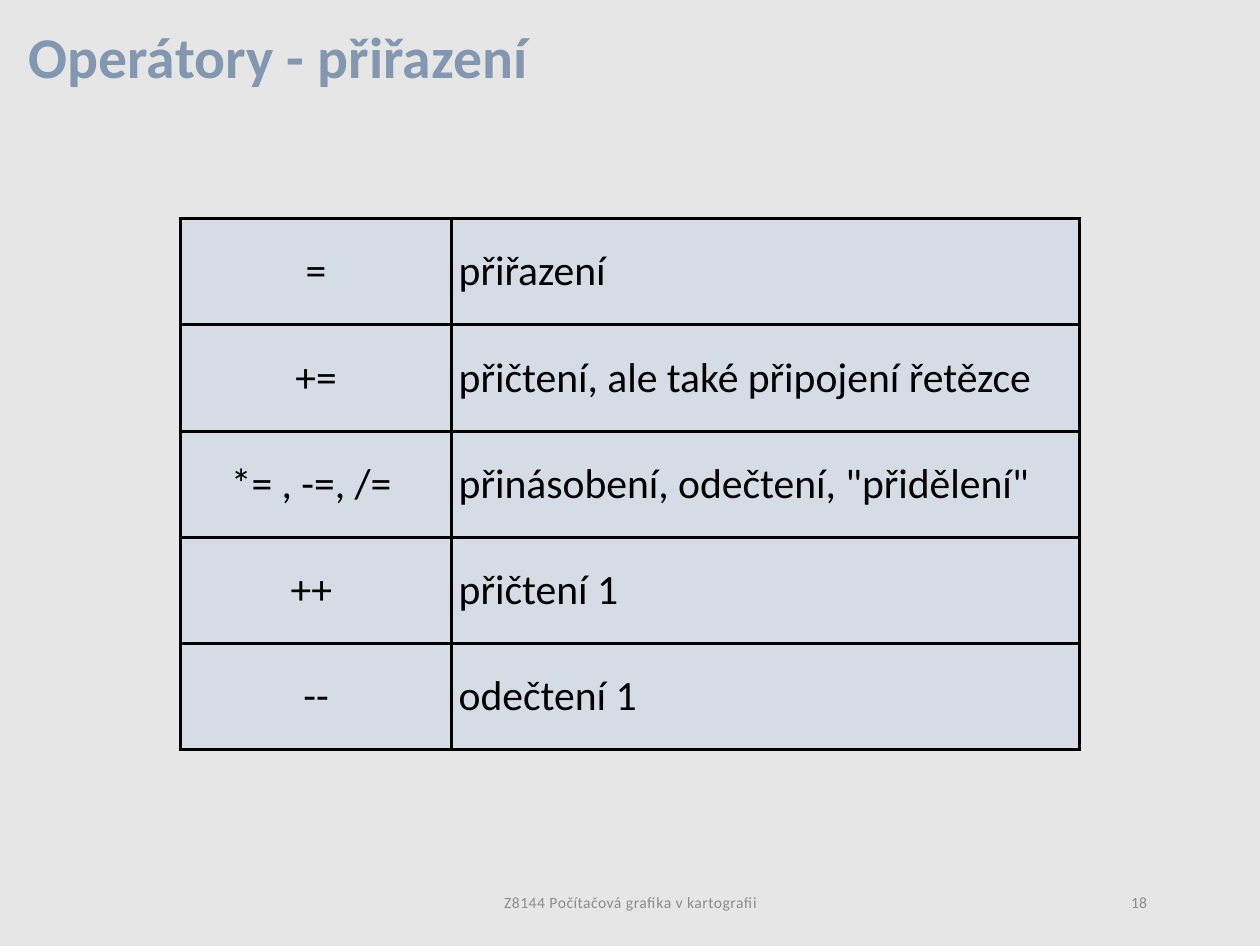
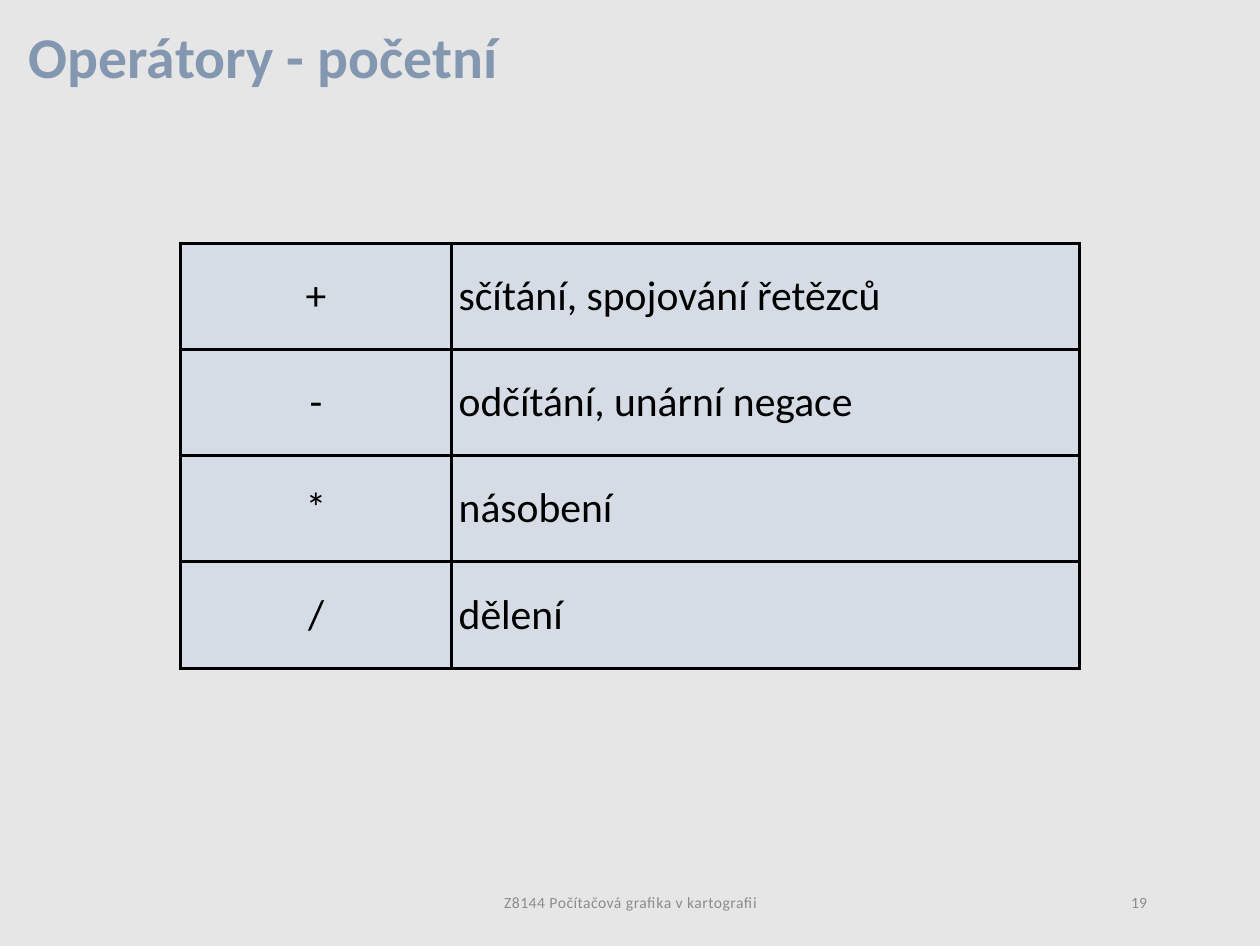
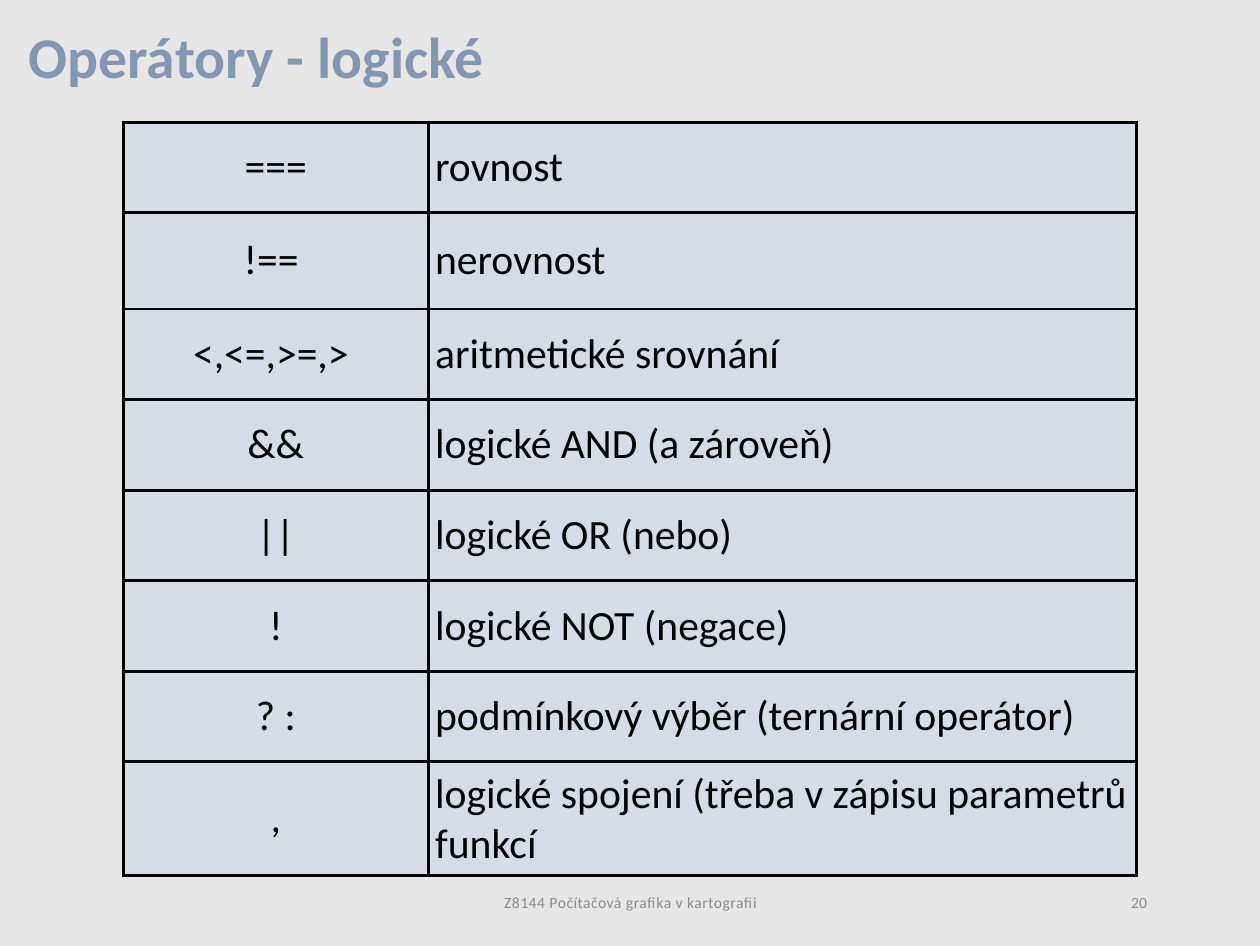
"""Build three slides of operator tables for a computer graphics course."""
from lxml.etree import SubElement
from pptx import Presentation
from pptx.dml.color import RGBColor
from pptx.enum.text import MSO_ANCHOR, PP_ALIGN
from pptx.oxml.ns import qn
from pptx.util import Cm, Pt

COLOURS = {
    "background": "E7E6E6",
    "title": "8497B0",
    "footer": "8C8C8C",
    "cell": "D6DCE5",
    "text": "000000",
    "border": "000000",
}
FONT = "Calibri"
SLIDE_SIZE = {"slide_width": Pt(363), "slide_height": Pt(272.5)}
FIRST_NUMBER = 18
COURSE = "Z8144 Počítačová grafika v kartografii"

OPERATOR_SLIDES = [
    {
        "title": "Operátory - přiřazení",
        "top": 2.22,
        "columns": (2.76, 6.38),
        "row_height": 1.08,
        "taller_rows": {},
        "operators": [
            ("=", "přiřazení"),
            ("+=", "přičtení, ale také připojení řetězce"),
            ("*= , -=, /= ", 'přinásobení, odečtení, "přidělení"'),
            ("++ ", "přičtení 1"),
            ("--", "odečtení 1"),
        ],
    },
    {
        "title": "Operátory - početní",
        "top": 2.47,
        "columns": (2.76, 6.38),
        "row_height": 1.08,
        "taller_rows": {},
        "operators": [
            ("+", "sčítání, spojování řetězců"),
            ("-", "odčítání, unární negace"),
            ("*", "násobení"),
            ("/", "dělení"),
        ],
    },
    {
        "title": "Operátory - logické",
        "top": 1.24,
        "columns": (3.1, 7.2),
        "row_height": 0.92,
        "taller_rows": {1: 0.98},
        "operators": [
            ("===", "rovnost"),
            ("!== ", "nerovnost"),
            ("<,<=,>=,> ", "aritmetické srovnání"),
            ("&&", "logické AND (a zároveň)"),
            ("||", "logické OR (nebo)"),
            ("!", "logické NOT (negace)"),
            ("? :", "podmínkový výběr (ternární operátor)"),
            (",", "logické spojení (třeba v zápisu parametrů funkcí"),
        ],
    },
]

TITLE = {
    "box": (0.26, 0.16, 5.92, 0.76),
    "margins": {"margin_left": Cm(0.03), "margin_top": Cm(0.05),
                "margin_right": 0, "margin_bottom": 0},
    "paragraph": {"alignment": PP_ALIGN.LEFT, "space_before": Pt(1.4)},
    "font": {"size": Pt(16.65), "bold": True},
    "colour": "title",
}
FOOTER = {
    "box": (4.25, 8.91, 4.32, 0.51),
    "margins": {},
    "paragraph": {"alignment": PP_ALIGN.CENTER, "space_before": Pt(1.9)},
    "font": {"size": Pt(4.5)},
    "colour": "footer",
    "spacing": "10",
}
NUMBER = {
    "box": (9.04, 8.91, 2.87, 0.51),
    "margins": {},
    "paragraph": {"alignment": PP_ALIGN.RIGHT},
    "font": {"size": Pt(4.5)},
    "colour": "footer",
}
CELL = {
    "vertical_anchor": MSO_ANCHOR.MIDDLE,
    **{f"margin_{side}": Cm(0.07) for side in ("left", "right", "top", "bottom")},
}
CELL_ALIGNMENTS = (PP_ALIGN.CENTER, PP_ALIGN.LEFT)


def apply(target, values):
    for name, value in values.items():
        setattr(target, name, value)


def write(paragraph, text, paragraph_format, font_format, colour):
    run = paragraph.add_run()
    run.text = text
    apply(paragraph, paragraph_format)
    apply(run.font, {"name": FONT, **font_format})
    run.font.color.rgb = RGBColor.from_string(COLOURS[colour])
    return run


def add_text(slide, text, style):
    frame = slide.shapes.add_textbox(*map(Cm, style["box"])).text_frame
    apply(frame, {"word_wrap": True, "vertical_anchor": MSO_ANCHOR.MIDDLE,
                  **style["margins"]})
    run = write(frame.paragraphs[0], text, style["paragraph"], style["font"],
                style["colour"])
    if "spacing" in style:
        run.font._element.set("spc", style["spacing"])


def add_borders(cell):
    properties = cell._tc.get_or_add_tcPr()
    for edge in ("a:lnL", "a:lnR", "a:lnT", "a:lnB"):
        line = SubElement(properties, qn(edge), w=str(Pt(1)))
        fill = SubElement(line, qn("a:solidFill"))
        SubElement(fill, qn("a:srgbClr"), val=COLOURS["border"])


def add_operator_table(slide, content):
    operators, columns = content["operators"], content["columns"]
    heights = [content["taller_rows"].get(index, content["row_height"])
               for index in range(len(operators))]
    width = Cm(sum(columns))
    left = (SLIDE_SIZE["slide_width"] - width) // 2
    table = slide.shapes.add_table(
        len(operators), len(columns), left, Cm(content["top"]), width,
        Cm(sum(heights))).table
    apply(table, {"first_row": False, "horz_banding": False})
    for column, column_width in zip(table.columns, columns):
        column.width = Cm(column_width)
    for row, height, texts in zip(table.rows, heights, operators):
        row.height = Cm(height)
        for cell, text, alignment in zip(row.cells, texts, CELL_ALIGNMENTS):
            apply(cell, CELL)
            add_borders(cell)
            cell.fill.solid()
            cell.fill.fore_color.rgb = RGBColor.from_string(COLOURS["cell"])
            write(cell.text_frame.paragraphs[0], text, {"alignment": alignment},
                  {"size": Pt(12)}, "text")


def main():
    deck = Presentation()
    apply(deck, SLIDE_SIZE)
    background = deck.slide_master.background.fill
    background.solid()
    background.fore_color.rgb = RGBColor.from_string(COLOURS["background"])
    for number, content in enumerate(OPERATOR_SLIDES, FIRST_NUMBER):
        slide = deck.slides.add_slide(deck.slide_layouts[6])
        add_text(slide, content["title"], TITLE)
        add_text(slide, COURSE, FOOTER)
        add_text(slide, str(number), NUMBER)
        add_operator_table(slide, content)
    deck.save("out.pptx")


if __name__ == "__main__":
    main()
